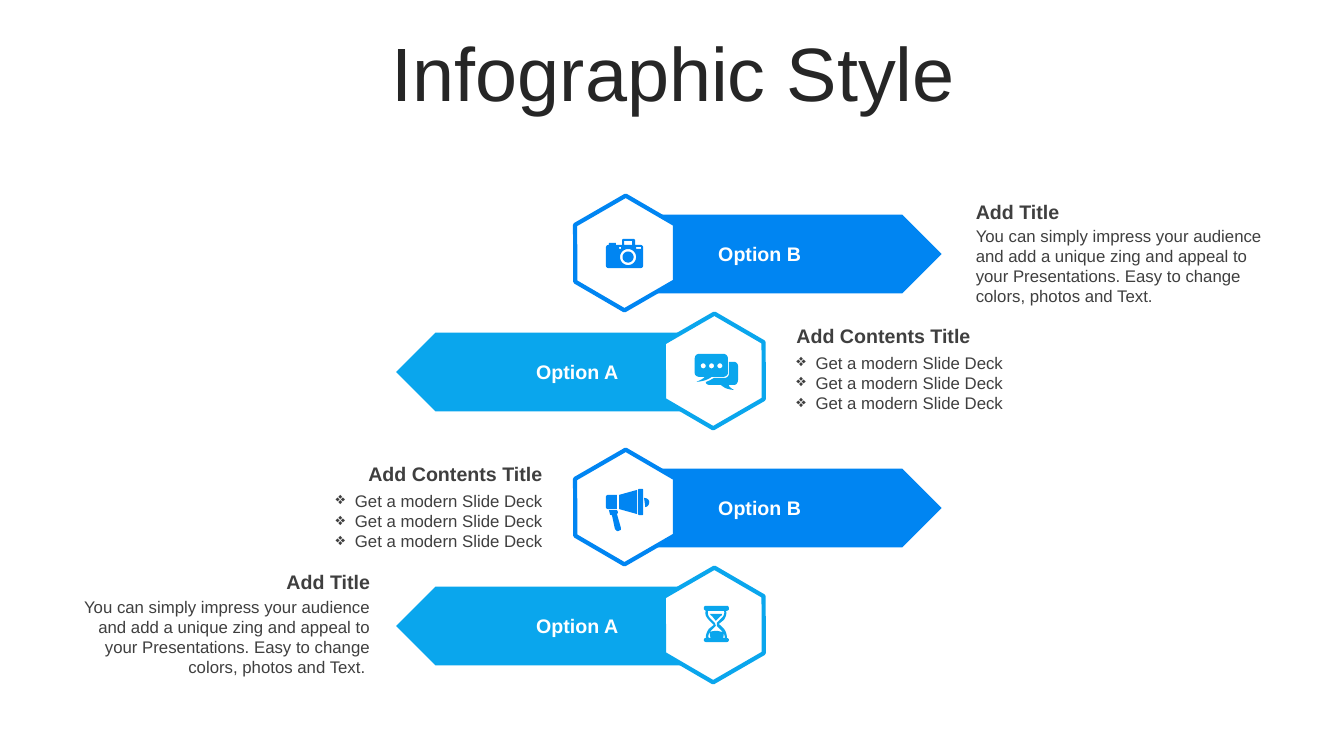
from math import cos, pi, sin

from lxml import etree
from pptx import Presentation
from pptx import util as u
from pptx.dml.color import RGBColor
from pptx.enum import shapes, text
from pptx.oxml.ns import qn

BLUE = RGBColor(0x00, 0x85, 0xF2)
SKY = RGBColor(0x0A, 0xA6, 0xED)
WHITE = RGBColor(0xFF, 0xFF, 0xFF)
INK = RGBColor(0x26, 0x26, 0x26)
GREY = RGBColor(0x3F, 0x3F, 0x3F)
FONT = "Arial"
LEFT, CENTER, RIGHT = text.PP_ALIGN.LEFT, text.PP_ALIGN.CENTER, text.PP_ALIGN.RIGHT
UNIT = u.Inches(0.01)
CURVE_STEPS = 6


def box(left, top, right, bottom, radius=0):
    if not radius:
        return [(left, top), (right, top), (right, bottom), (left, bottom)]
    corners = [(right - radius, bottom - radius), (left + radius, bottom - radius),
               (left + radius, top + radius), (right - radius, top + radius)]
    return [(x + radius * cos(angle), y + radius * sin(angle))
            for quarter, (x, y) in enumerate(corners)
            for angle in [(quarter + step / CURVE_STEPS) * pi / 2
                          for step in range(CURVE_STEPS + 1)]]


def disc(x, y, radius):
    return box(x - radius, y - radius, x + radius, y + radius, radius)


CAMERA = [
    [(17, 0), (28, 0), (29, 1), (29, 6), (34, 6), (36, 6, 37, 7, 37, 9), (37, 26),
     (37, 28, 36, 29, 34, 29), (3, 29), (1, 29, 0, 28, 0, 26), (0, 9),
     (0, 7, 1, 6, 3, 6), (3, 4), (10, 4), (10, 6), (16, 6), (16, 1)],
    disc(22, 18, 8), disc(22, 18, 5.5),
    box(18, 2, 26, 6), box(13, 8, 15, 10), box(30, 8, 35, 10),
]
CHAT = [
    [(5, 0), (28, 0), (31, 0, 33, 2, 33, 5), (33, 19), (33, 21, 31, 23, 28, 23),
     (17, 23), (12, 26, 10, 27, 2, 28), (7, 25, 7, 26, 10, 23), (5, 23),
     (2, 23, 0, 21, 0, 19), (0, 5), (0, 2, 2, 0, 5, 0)],
    [(34, 8), (39, 8), (41, 8, 43, 10, 43, 12), (43, 26), (43, 29, 41, 31, 39, 31),
     (34, 31), (34, 32, 34, 33, 39, 36), (31, 35, 30, 34, 26, 31), (15, 31),
     (13, 31, 11, 30, 11, 28), (14, 27, 16, 26, 19, 24), (30, 24),
     (32, 24, 34, 22, 34, 20)],
    *[disc(x, 12, 2.5) for x in (8.5, 16.75, 25)],
]
MEGAPHONE = [
    [(11, 21), (12, 23), (12, 23, 12, 24, 11, 25), (15, 39), (15, 40, 15, 41, 14, 41),
     (12, 42), (11, 42, 10, 41, 9, 40), (6, 26), (5, 26, 4, 26, 4, 25), (3, 21)],
    [(38, 9), (41, 9, 43, 11, 43, 13), (43, 16, 41, 18, 39, 18), (39, 15, 38, 12, 38, 9)],
    [(2, 6), (11, 6), (11, 20), (2, 20), (1, 20, 0, 19, 0, 18), (0, 8), (0, 7, 1, 6, 2, 6)],
    [(31, 1), (31, 25), (13, 20), (13, 6)],
    box(32, 0, 37, 26, 1),
]
HOURGLASS = [
    [(2, 0), (23, 0), (24, 0, 25, 1, 25, 3), (25, 4, 24, 5, 23, 5), (22, 5),
     (23, 8, 22, 11, 20, 14), (15, 18), (20, 23), (22, 25, 23, 29, 23, 32),
     (24, 32, 25, 33, 25, 34), (25, 35, 24, 36, 23, 36), (2, 36),
     (1, 36, 0, 35, 0, 34), (0, 33, 1, 32, 2, 32), (2, 29, 3, 26, 5, 23), (10, 19),
     (5, 14), (2, 11, 1, 8, 2, 5), (1, 4, 0, 4, 0, 3), (0, 1, 1, 0, 2, 0)],
    [(4, 5), (4, 7, 4, 10, 6, 12), (11, 17), (12, 20), (7, 25), (5, 27, 4, 30, 5, 32),
     (21, 32), (21, 30, 20, 27, 18, 25), (13, 20), (13, 17), (18, 12),
     (20, 10, 21, 7, 20, 5)],
    [(6, 8), (18, 8), (18, 9, 18, 10, 17, 10), (12, 15), (8, 10), (7, 10, 7, 9, 6, 8)],
    [(13, 25), (15, 25, 17, 26, 19, 26), (20, 28, 20, 30, 19, 32), (7, 32),
     (6, 30, 6, 28, 6, 26), (9, 25, 11, 25, 13, 25)],
]

TITLE = "Infographic Style"
PITCH = ("You can simply impress your audience and add a unique zing and appeal to "
         "your Presentations. Easy to change colors, photos and Text.")
POINTS = ["Get a modern Slide Deck"] * 3
SIDES = {
    "right": dict(label="Option B", color=BLUE, arrow=6.24, hexagon=5.63, name=6.89),
    "left": dict(label="Option A", color=SKY, arrow=3.93, hexagon=6.51, name=5.08),
}
OPTIONS = [
    (2.13, "right", CAMERA, (6.01, 2.37)),
    (3.30, "left", CHAT, (6.89, 3.51)),
    (4.65, "right", MEGAPHONE, (6.01, 4.85)),
    (5.82, "left", HOURGLASS, (6.98, 6.01)),
]
NOTES = [
    (9.58, 1.93, 3.1, LEFT, "Add Title", [PITCH], False),
    (7.80, 3.16, 2.48, LEFT, "Add Contents Title", POINTS, True),
    (3.00, 4.53, 2.48, RIGHT, "Add Contents Title", POINTS, True),
    (0.67, 5.61, 3.1, RIGHT, "Add Title", [PITCH + " "], False),
]

deck = Presentation()
deck.slide_width, deck.slide_height = u.Inches(13.33), u.Inches(7.5)
slide = deck.slides.add_slide(deck.slide_layouts[6])


def add_bullet(paragraph):
    props = paragraph._p.get_or_add_pPr()
    props.set("marL", str(u.Inches(0.19)))
    props.set("indent", str(-u.Inches(0.19)))
    tint = etree.SubElement(props, qn("a:buClr"))
    etree.SubElement(tint, qn("a:srgbClr")).set("val", str(GREY))
    etree.SubElement(props, qn("a:buChar")).set("char", "❖")


def write(place, lines, size, color, align, bold=False, bullets=False):
    frame = slide.shapes.add_textbox(*map(u.Inches, place)).text_frame
    frame.word_wrap = True
    frame.text = "\n".join(lines)
    for paragraph in frame.paragraphs:
        paragraph.alignment = align
        if bullets:
            add_bullet(paragraph)
        font = paragraph.font
        font.name, font.size, font.bold = FONT, u.Pt(size), bold
        font.color.rgb = color
    return frame


def paint(shape, fill, line=None):
    shape.shadow.inherit = False
    shape.fill.solid()
    shape.fill.fore_color.rgb = fill
    if line is None:
        shape.line.fill.background()
    else:
        shape.line.color.rgb = line
        shape.line.width = u.Pt(3)


def add_preset(kind, place, fill, line=None):
    shape = slide.shapes.add_shape(kind, *map(u.Inches, place))
    paint(shape, fill, line)
    return shape


def flatten(outline):
    points = [outline[0]]
    for part in outline[1:]:
        if len(part) == 2:
            points.append(part)
            continue
        knots = [points[-1], part[:2], part[2:4], part[4:]]
        for step in range(1, CURVE_STEPS + 1):
            t = step / CURVE_STEPS
            weights = ((1 - t) ** 3, 3 * t * (1 - t) ** 2, 3 * t * t * (1 - t), t ** 3)
            points.append(tuple(sum(w * k[axis] for w, k in zip(weights, knots))
                                for axis in (0, 1)))
    return points


def draw_icon(outlines, corner, color):
    left, top = map(u.Inches, corner)
    contours = [[(left + x * UNIT, top + y * UNIT) for x, y in flatten(outline)]
                for outline in outlines]
    builder = slide.shapes.build_freeform(*contours[0][0])
    for index, contour in enumerate(contours):
        if index:
            builder.move_to(*contour[0])
        builder.add_line_segments(contour[1:], close=True)
    paint(builder.convert_to_shape(), color)


heading = write((0.35, 0.37, 12.66, 0.79), [TITLE], 54, INK, CENTER)
heading.vertical_anchor = text.MSO_ANCHOR.MIDDLE
heading.paragraphs[0].line_spacing = 0.9

for top, direction, icon, corner in OPTIONS:
    side = SIDES[direction]
    arrow = add_preset(shapes.MSO_SHAPE.PENTAGON, (side["arrow"], top, 3.1, 0.78), side["color"])
    if direction == "left":
        arrow._element.spPr.get_or_add_xfrm().set("flipH", "1")
    hexagon = add_preset(shapes.MSO_SHAPE.HEXAGON, (side["hexagon"], top - 0.11, 1.14, 0.98),
                         WHITE, side["color"])
    hexagon.adjustments[0] = 0.286
    hexagon.rotation = 330
    write((side["name"], top + 0.22, 1.29, 0.34), [side["label"]], 14, WHITE, CENTER, bold=True)
    draw_icon(icon, corner, side["color"])

for left, top, width, align, caption, lines, bullets in NOTES:
    drop, height = (0.29, 0.71) if bullets else (0.26, 0.91)
    write((left, top + drop, width, height), lines, 12, GREY, align, bullets=bullets)
    write((left, top, width, 0.34), [caption], 14, GREY, align, bold=True)

deck.save("out.pptx")
